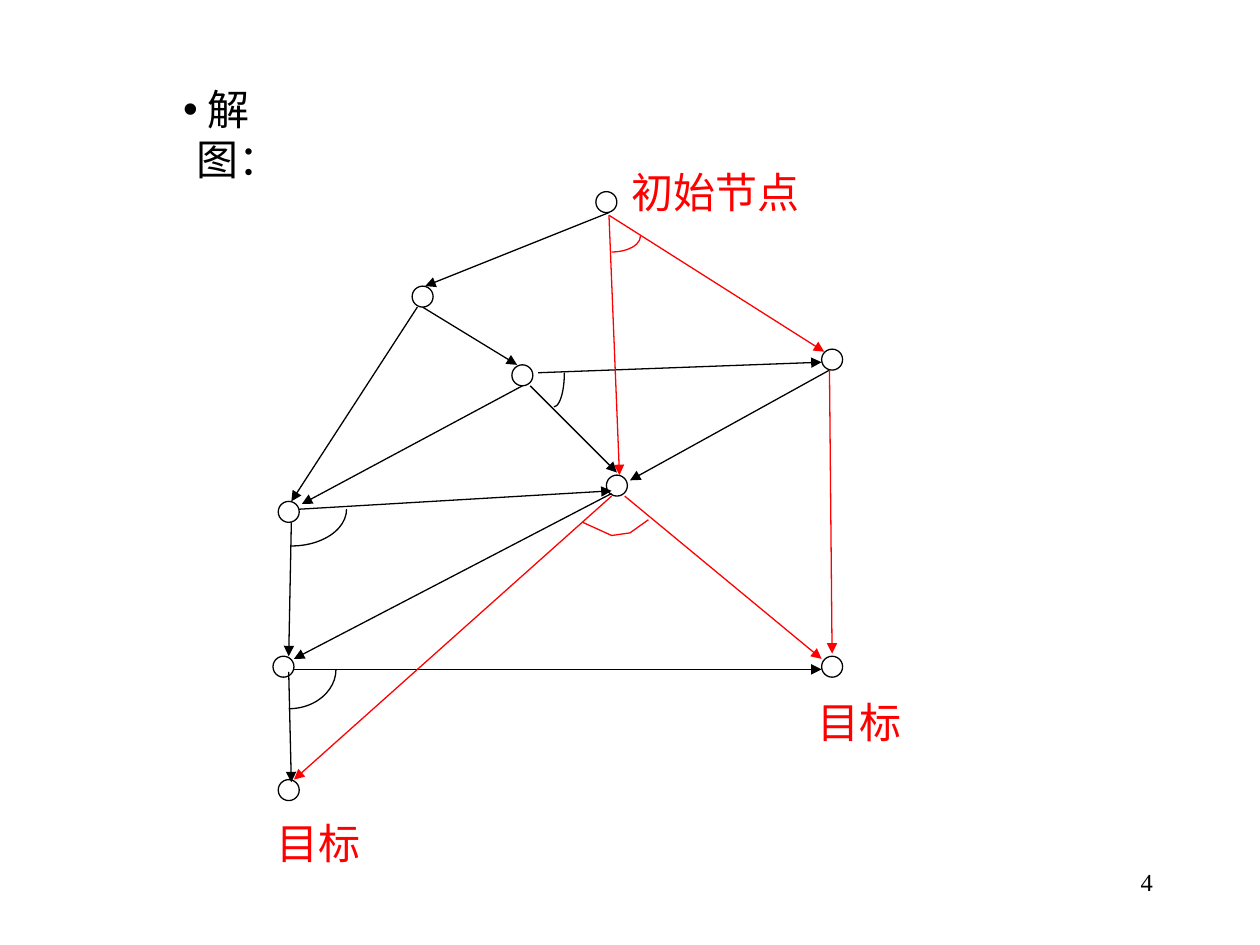
from pptx import Presentation
from pptx.dml.color import RGBColor
from pptx.enum.shapes import MSO_CONNECTOR, MSO_SHAPE
from pptx.enum.text import MSO_ANCHOR, MSO_AUTO_SIZE, PP_ALIGN
from pptx.oxml.ns import qn
from pptx.util import Inches, Pt
from lxml import etree

STRAIGHT = MSO_CONNECTOR.STRAIGHT
CIRCLE, ARC = MSO_SHAPE.OVAL, MSO_SHAPE.ARC
LEFT, CENTER, RIGHT = PP_ALIGN.LEFT, PP_ALIGN.CENTER, PP_ALIGN.RIGHT
TOP, MIDDLE = MSO_ANCHOR.TOP, MSO_ANCHOR.MIDDLE
NO_AUTOFIT = MSO_AUTO_SIZE.NONE

CELL = Inches(1) // 48  # the page is 480 columns by 360 rows
BLACK, RED = "000000", "FF0000"
FONT = "Times New Roman"
NODE_SIZE = 8
QUARTER_TURN = 54

# Everything in the graph is in cells from the corner of its box.
GRAPH_CORNER = (100, 60)
NODE_CENTERS = [(131, 17), (61, 53), (99, 83), (135, 125), (217, 77),
                (10, 135), (8, 194), (217, 194), (10, 241)]
BLACK_EDGES = [
    ((132, 21), (62, 49)), ((59, 57), (11, 131)), ((61, 57), (97, 79)),
    ((102, 87), (135, 120)), ((105, 82), (213, 78)), ((14, 134), (133, 127)),
    ((11, 139), (10, 190)), ((216, 81), (140, 123)), ((133, 128), (12, 191)),
    ((12, 195), (213, 195)), ((10, 196), (11, 238)), ((99, 87), (15, 132)),
]
SOLUTION_EDGES = [
    ((132, 22), (136, 121)), ((132, 22), (214, 74)), ((216, 81), (217, 189)),
    ((133, 129), (12, 237)), ((138, 129), (213, 191)),
]
AND_ARCS = [((122, 24, 22, 12), RED), ((107, 69, 8, 26), BLACK),
            ((-10, 120, 42, 28), BLACK), ((-8, 180, 36, 30), BLACK)]
SOLUTION_MARK = [(122, 139), (133, 144), (140, 143), (147, 138)]
LABELS = [("目标", (1, 249, 41, 24)), ("目标", (207, 203, 41, 24)),
          ("初始节点", (136, 1, 73, 24))]


def color(value):
    return RGBColor.from_string(value)


def cells(*values):
    return [int(value * CELL) for value in values]


def shift(place, corner):
    return (place[0] + corner[0], place[1] + corner[1], *place[2:])


def outline(shape, line_color):
    if hasattr(shape, "fill"):
        shape.fill.background()
        shape.shadow.inherit = False
    else:
        etree.SubElement(shape._element.spPr, qn("a:effectLst"))
    shape.line.color.rgb = color(line_color)
    shape.line.width = Pt(0.75)


def add_arrow(page, start, end, line_color):
    arrow = page.shapes.add_connector(STRAIGHT, *cells(*start, *end))
    outline(arrow, line_color)
    etree.SubElement(arrow.line._get_or_add_ln(), qn("a:tailEnd"), type="triangle")


def write(box, text, size, text_color, align, anchor, wrap):
    frame = box.text_frame
    for name, value in {"auto_size": NO_AUTOFIT, "word_wrap": wrap,
                        "vertical_anchor": anchor}.items():
        setattr(frame, name, value)
    para = frame.paragraphs[0]
    para.alignment, para.space_before = align, Pt(0)
    span = para.add_run()
    span.text = text
    for name, value in {"name": FONT, "size": Pt(size)}.items():
        setattr(span.font, name, value)
    span.font.color.rgb = color(text_color)
    return para


def add_graph(page, corner):
    for x, y in NODE_CENTERS:
        place = (x - NODE_SIZE / 2, y - NODE_SIZE / 2, NODE_SIZE, NODE_SIZE)
        node = page.shapes.add_shape(CIRCLE, *cells(*shift(place, corner)))
        outline(node, BLACK)
    for edges, edge_color in ((BLACK_EDGES, BLACK), (SOLUTION_EDGES, RED)):
        for start, end in edges:
            add_arrow(page, shift(start, corner), shift(end, corner), edge_color)
    for place, arc_color in AND_ARCS:
        arc = page.shapes.add_shape(ARC, *cells(*shift(place, corner)))
        arc.adjustments[0], arc.adjustments[1] = 0, QUARTER_TURN
        outline(arc, arc_color)
    first, *rest = [shift(point, corner) for point in SOLUTION_MARK]
    builder = page.shapes.build_freeform(*first, scale=CELL)
    builder.add_line_segments(rest, close=False)
    outline(builder.convert_to_shape(), RED)
    for text, place in LABELS:
        label = page.shapes.add_textbox(*cells(*shift(place, corner)))
        write(label, text, 24, RED, CENTER, MIDDLE, False)


def add_heading(page, place):
    body = page.placeholders[1]
    body.left, body.top, body.width, body.height = cells(*place)
    para = write(body, " 解图：", 24, BLACK, LEFT, MIDDLE, True)
    properties = para._p.get_or_add_pPr()
    hang = cells(5)[0]
    properties.set("marL", str(hang))
    properties.set("indent", str(-hang))
    etree.SubElement(properties, qn("a:buChar"), char="•")


def add_page_number(page, place):
    box = page.shapes.add_textbox(*cells(*place))
    write(box, "4", 14, BLACK, RIGHT, TOP, True)


def main():
    deck = Presentation()
    deck.slide_width, deck.slide_height = cells(480, 360)
    page = deck.slides.add_slide(deck.slide_layouts[1])
    title = page.shapes.title._element
    title.getparent().remove(title)
    add_graph(page, GRAPH_CORNER)
    add_heading(page, (65, 30, 49, 42))
    add_page_number(page, (344, 328, 100, 24))
    deck.save("out.pptx")


if __name__ == "__main__":
    main()
